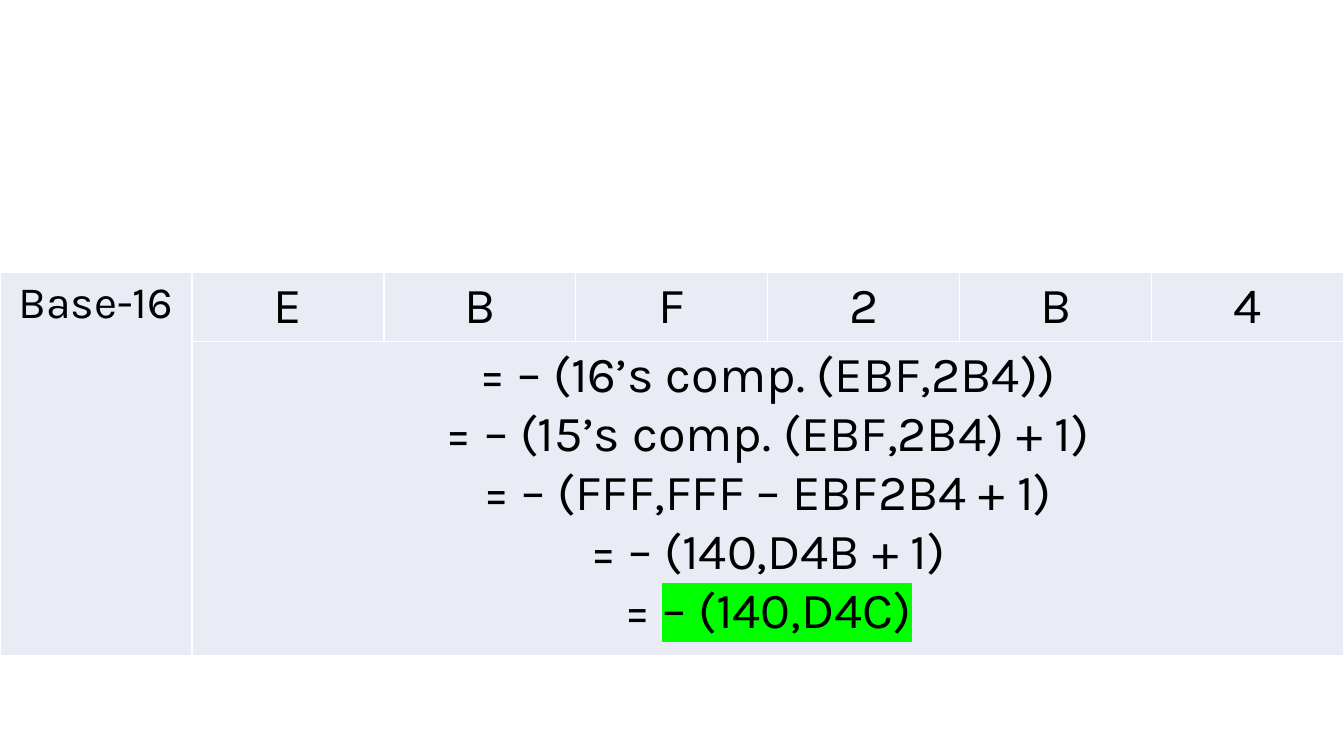
from lxml import etree
from pptx import Presentation
from pptx.dml.color import RGBColor
from pptx.enum import text
from pptx.oxml import ns
from pptx.util import Inches, Pt

BLACK = RGBColor(0x00, 0x00, 0x00)
WHITE = RGBColor(0xFF, 0xFF, 0xFF)
PALE_BLUE = RGBColor(0xE9, 0xEB, 0xF5)
GREEN = RGBColor(0x00, 0xFF, 0x00)

LABEL_FORMAT = {"size": Pt(32), "name": "Karla", "bold": False}
VALUE_FORMAT = {"size": Pt(36), "name": "Karla", "bold": False}
DIGITS = "EBF2B4"
STEPS = [
    ["= – (16’s comp. (EBF,2B4))"],
    ["= – (15’s comp. (EBF,2B4) + 1)"],
    ["= – (FFF,FFF – EBF2B4 + 1)"],
    ["= – (140,D4B + 1)"],
    ["= ", "– (140,D4C)"],
]


def add_color(parent, color):
    etree.SubElement(parent, ns.qn("a:srgbClr"), val=str(color))


def write_cell(cell, lines, font_format):
    for index, pieces in enumerate(lines):
        frame = cell.text_frame
        para = frame.paragraphs[0] if index == 0 else frame.add_paragraph()
        para.alignment = text.PP_ALIGN.CENTER
        for piece in pieces:
            span = para.add_run()
            span.text = piece
            span.font.color.rgb = BLACK
            for key, value in font_format.items():
                setattr(span.font, key, value)


deck = Presentation()
deck.slide_width = Inches(13.33)
deck.slide_height = Inches(7.5)
page = deck.slides.add_slide(deck.slide_layouts[6])

columns = len(DIGITS) + 1
frame = page.shapes.add_table(
    2, columns, Inches(0), Inches(2.7), Inches(13.33), Inches(3.8)
)
table = frame.table
table.first_row = False
table.horz_banding = False
for column in table.columns:
    column.width = Inches(13.33 / columns)
for row, height in zip(table.rows, [0.69, 3.11]):
    row.height = Inches(height)

for cell in table.iter_cells():
    properties = cell._tc.get_or_add_tcPr()
    for side in ["lnL", "lnR", "lnT", "lnB"]:
        border = etree.SubElement(properties, ns.qn("a:" + side), w=str(Pt(1)))
        add_color(etree.SubElement(border, ns.qn("a:solidFill")), WHITE)
    cell.fill.solid()
    cell.fill.fore_color.rgb = PALE_BLUE

label = table.cell(0, 0)
label.merge(table.cell(1, 0))
write_cell(label, [["Base-16"]], LABEL_FORMAT)

for position, digit in enumerate(DIGITS, 1):
    write_cell(table.cell(0, position), [[digit]], VALUE_FORMAT)

working = table.cell(1, 1)
working.merge(table.cell(1, columns - 1))
write_cell(working, STEPS, VALUE_FORMAT)

answer = working.text_frame.paragraphs[-1].runs[-1]
highlight = etree.Element(ns.qn("a:highlight"))
add_color(highlight, GREEN)
answer._r.get_or_add_rPr().find(ns.qn("a:solidFill")).addnext(highlight)

deck.save("out.pptx")
